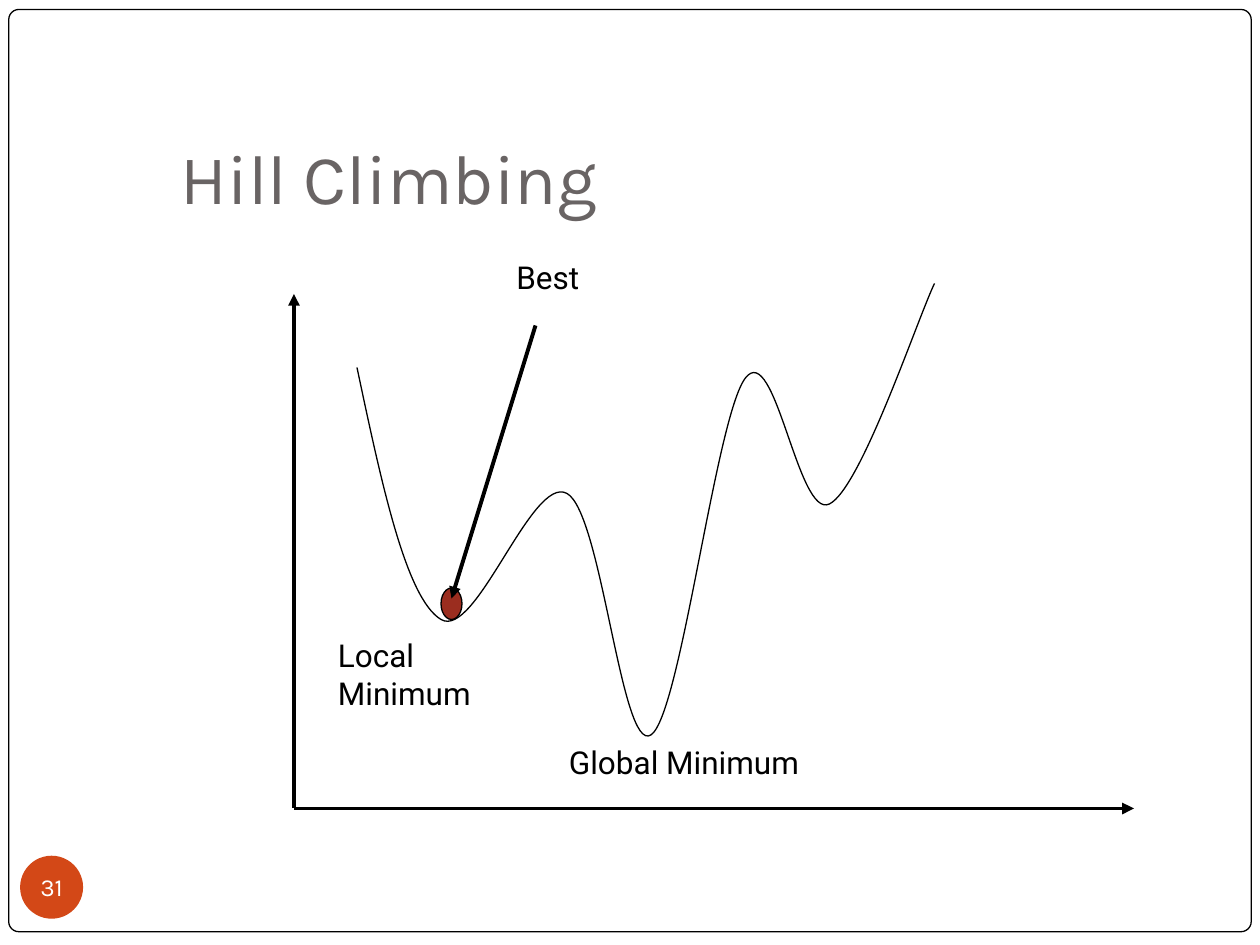
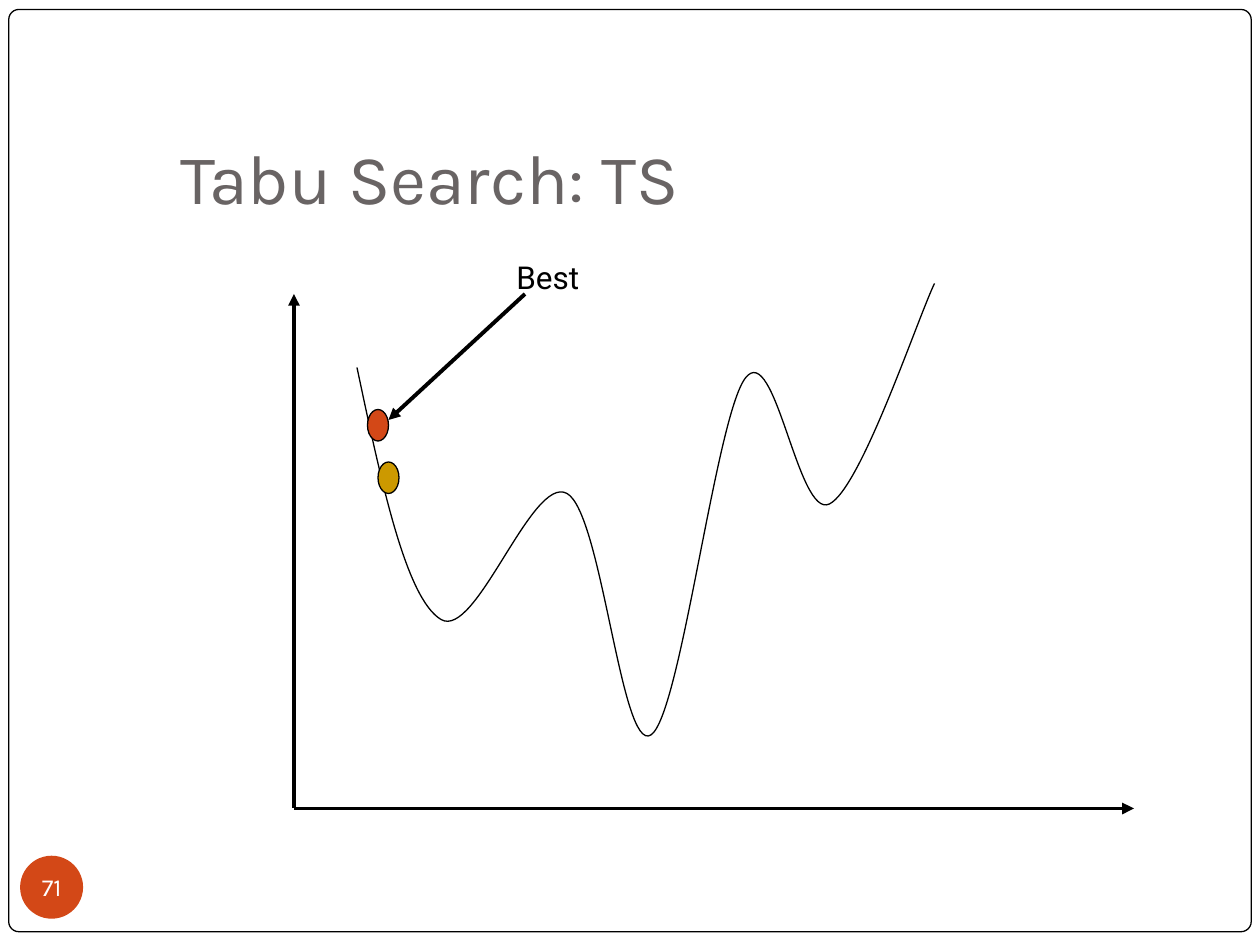
from dataclasses import dataclass

from lxml import etree
from pptx import Presentation
from pptx.dml.color import RGBColor
from pptx.enum.shapes import MSO_CONNECTOR, MSO_SHAPE
from pptx.enum.text import MSO_ANCHOR, MSO_AUTO_SIZE, PP_ALIGN
from pptx.oxml.ns import qn
from pptx.util import Pt

STRAIGHT = MSO_CONNECTOR.STRAIGHT
OVAL, ROUNDED = MSO_SHAPE.OVAL, MSO_SHAPE.ROUNDED_RECTANGLE
TOP, MIDDLE, BOTTOM = MSO_ANCHOR.TOP, MSO_ANCHOR.MIDDLE, MSO_ANCHOR.BOTTOM
LEFT, CENTER = PP_ALIGN.LEFT, PP_ALIGN.CENTER
NO_FIT, GROW = MSO_AUTO_SIZE.NONE, MSO_AUTO_SIZE.SHAPE_TO_FIT_TEXT
TITLE_ONLY = 5


@dataclass(frozen=True)
class Theme:
    ink: str = "000000"
    paper: str = "FFFFFF"
    title: str = "696464"
    orange: str = "D34817"
    red: str = "9B2D1F"
    gold: str = "CC9900"
    heading_font: str = "Karla"
    label_font: str = "Roboto"
    title_size: int = 40
    label_size: int = 18
    number_size: int = 14
    thin: float = 0.75
    thick: float = 2.25


T = Theme()

# Cost curve in points: a start, then two controls and an end per segment
CURVE_START = (204, 210)
CURVE_POINTS = [
    (218, 276), (232, 342), (252, 354),
    (272, 366), (304, 271), (324, 282),
    (344, 293), (355, 431), (372, 420),
    (389, 409), (409, 238), (426, 216),
    (443, 194), (456, 297), (474, 288),
    (492, 279), (524, 183), (534, 162),
]


def rgb(value):
    return RGBColor.from_string(value)


def write(tf, text, *, font, size, color, align=LEFT, anchor=TOP,
          fit=NO_FIT, insets=(7.2, 3.6, 7.2, 3.6)):
    tf.word_wrap = True
    tf.auto_size = fit
    tf.vertical_anchor = anchor
    (tf.margin_left, tf.margin_top,
     tf.margin_right, tf.margin_bottom) = map(Pt, insets)
    p = tf.paragraphs[0]
    p.alignment = align
    r = p.add_run()
    r.text = text
    r.font.name, r.font.size = font, Pt(size)
    r.font.color.rgb = rgb(color)


def set_line(sp, width):
    sp.line.color.rgb = rgb(T.ink)
    sp.line.width = Pt(width)


def add_shape(s, kind, box, fill, outlined=True):
    sp = s.shapes.add_shape(kind, *map(Pt, box))
    sp.shadow.inherit = False
    sp.fill.solid()
    sp.fill.fore_color.rgb = rgb(fill)
    if outlined:
        set_line(sp, T.thin)
    else:
        sp.line.fill.background()
    return sp


def add_arrow(s, start, end, arrowhead="tailEnd"):
    sp = s.shapes.add_connector(STRAIGHT, *map(Pt, start + end))
    set_line(sp, T.thick)
    ln = sp.element.spPr.find(qn("a:ln"))
    etree.SubElement(ln, qn(f"a:{arrowhead}"), type="triangle")
    etree.SubElement(sp.element.spPr, qn("a:effectLst"))


def add_label(s, text, box):
    tf = s.shapes.add_textbox(*map(Pt, box)).text_frame
    write(tf, text, font=T.label_font, size=T.label_size, color=T.ink, fit=GROW)


def add_marker(s, left, top, fill):
    add_shape(s, OVAL, (left, top, 12, 18), fill)


def add_cost_curve(s):
    builder = s.shapes.build_freeform(*CURVE_START, scale=Pt(1))
    builder.add_line_segments(CURVE_POINTS, close=False)
    sp = builder.convert_to_shape()
    # Join every three straight segments into one Bézier segment
    outline = next(sp.element.iter(qn("a:moveTo"))).getparent()
    segments = outline.findall(qn("a:lnTo"))
    for i in range(0, len(segments), 3):
        curve = etree.SubElement(outline, qn("a:cubicBezTo"))
        for segment in segments[i:i + 3]:
            curve.append(segment[0])
            outline.remove(segment)
    sp.shadow.inherit = False
    sp.fill.background()
    set_line(sp, T.thin)


def add_frame(s):
    frame = add_shape(s, ROUNDED, (5, 5.4, 710, 527), T.paper)
    frame.adjustments[0] = 0.011
    s.shapes.element.insert(2, frame.element)  # behind the title


def add_search_slide(prs, title, number):
    s = prs.slides.add_slide(prs.slide_layouts[TITLE_ONLY])
    add_frame(s)
    # Title
    sp = s.shapes.title
    sp.left, sp.top, sp.width, sp.height = map(Pt, (96, 67, 613.5, 65))
    write(sp.text_frame, title, font=T.heading_font, size=T.title_size,
          color=T.title, anchor=BOTTOM, insets=(7.2, 3.6, 7.2, 7.2))
    # Slide number
    badge = add_shape(s, OVAL, (11.5, 489, 36, 36), T.orange, outlined=False)
    write(badge.text_frame, number, font=T.heading_font, size=T.number_size,
          color=T.paper, align=CENTER, anchor=MIDDLE, insets=(0, 0, 0, 0))
    # Axes and curve
    origin = (168, 462)
    add_arrow(s, (168, 168), origin, "headEnd")
    add_arrow(s, origin, (648, 462))
    add_cost_curve(s)
    return s


def main():
    prs = Presentation()
    prs.slide_width, prs.slide_height = Pt(720), Pt(540)
    best_box = (288, 144, 84, 29)

    # Hill climbing stops in the local minimum
    s = add_search_slide(prs, "Hill Climbing", "31")
    add_marker(s, 252, 336, T.red)
    add_arrow(s, (306, 186), (258, 342))
    add_label(s, "Best", best_box)
    add_label(s, "Local Minimum", (186, 360, 137, 29))
    add_label(s, "Global Minimum", (318, 421, 156, 29))

    # Tabu search moves down from the best point so far
    s = add_search_slide(prs, "Tabu Search: TS", "71")
    add_marker(s, 210, 234, T.orange)
    add_label(s, "Best", best_box)
    add_arrow(s, (300, 168), (222, 240))
    add_marker(s, 216, 264, T.gold)

    prs.save("out.pptx")


if __name__ == "__main__":
    main()
